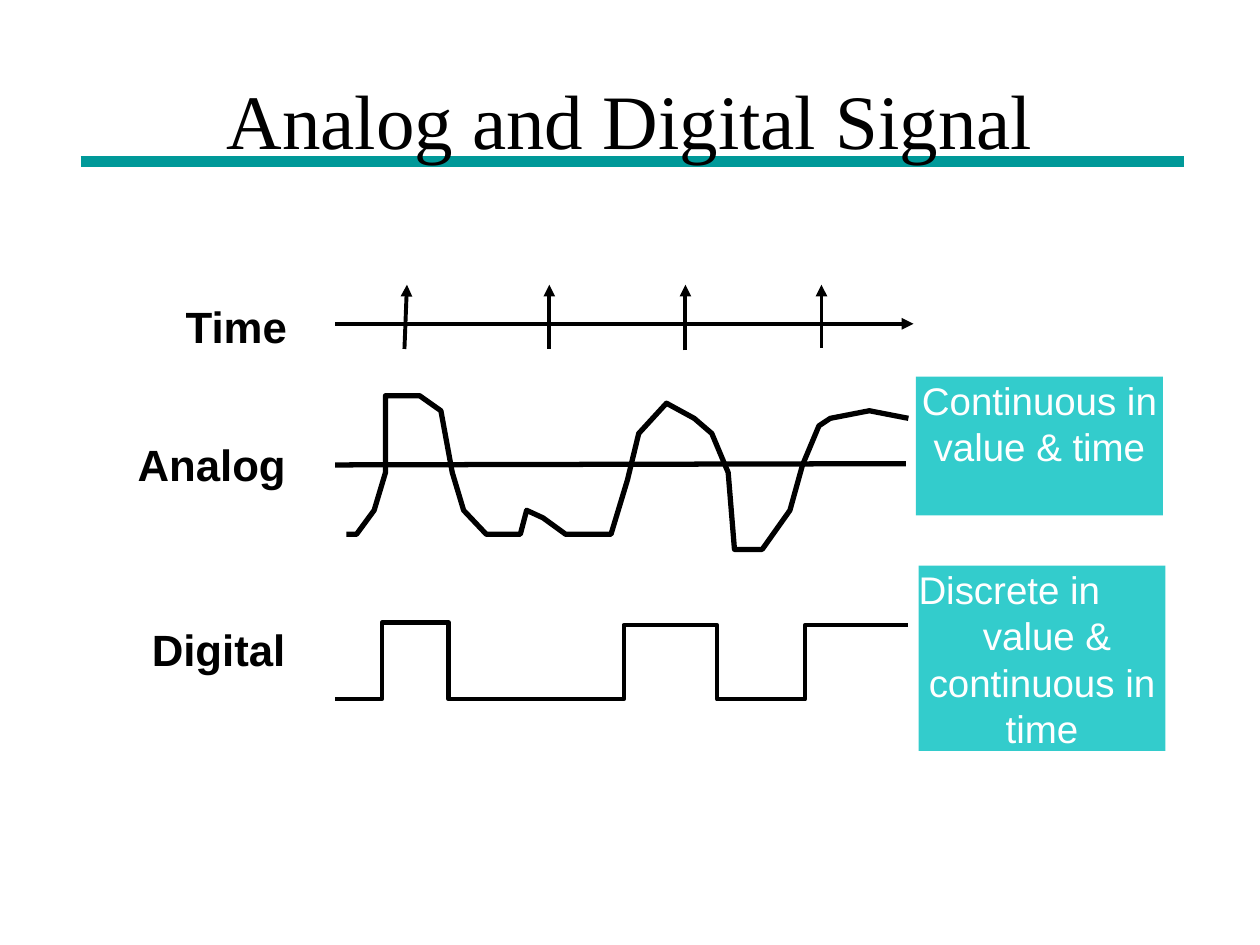
from pptx import Presentation
from pptx.dml.color import RGBColor
from pptx.enum.shapes import MSO_CONNECTOR as CONN, MSO_SHAPE as SHAPE
from pptx.enum.text import MSO_ANCHOR as ANCHOR, PP_ALIGN as ALIGN
from pptx.oxml.ns import qn
from pptx.util import Pt
from lxml.etree import SubElement

PX = 9144  # EMU per px, 100 px to the inch
BLACK = RGBColor(0x00, 0x00, 0x00)
WHITE = RGBColor(0xFF, 0xFF, 0xFF)
TEAL = RGBColor(0x00, 0x99, 0x99)
AQUA = RGBColor(0x33, 0xCC, 0xCC)


def add_line(x1, y1, x2, y2, color, width, arrow=False):
    c = s.shapes.add_connector(CONN.STRAIGHT, x1 * PX, y1 * PX, x2 * PX, y2 * PX)
    c.line.color.rgb = color
    c.line.width = Pt(width)
    if arrow:
        SubElement(c.line._get_or_add_ln(), qn("a:tailEnd"), type="triangle")
    SubElement(c._element.spPr, qn("a:effectLst"))
    return c


def set_text(sp, lines, font, size, color, bold=False, anchor=ANCHOR.MIDDLE):
    tf = sp.text_frame
    tf.text = "\n".join(lines)
    tf.vertical_anchor = anchor
    tf.margin_left = tf.margin_right = tf.margin_top = tf.margin_bottom = 0
    for p in tf.paragraphs:
        p.alignment = ALIGN.CENTER
        f = p.runs[0].font
        f.name, f.size, f.bold = font, Pt(size), bold
        f.color.rgb = color
    return tf


prs = Presentation()
prs.slide_width, prs.slide_height = 1000 * PX, 750 * PX
s = prs.slides.add_slide(prs.slide_layouts[5])

# Title, with the rule behind it
title = s.shapes.title
title.left, title.top, title.width, title.height = 75 * PX, 52 * PX, 850 * PX, 85 * PX
set_text(title, ["Analog and Digital Signal"], "Times New Roman", 44, BLACK)
rule = add_line(64, 128, 940, 128, TEAL, 6)
s.shapes._spTree.insert(2, rule._element)

# Time axis with sampling instants
add_line(266, 257, 725, 257, BLACK, 2.25, arrow=True)
for x1, x2, bottom in [(321, 323, 277), (436, 436, 277), (544, 544, 278), (652, 652, 276)]:
    add_line(x1, bottom, x2, 226, BLACK, 2.25, arrow=True)

# Analog and digital waveforms
analog = [(275, 424), (283, 424), (297, 405), (306, 375), (306, 314), (333, 314),
          (350, 326), (359, 375), (368, 405), (386, 424), (413, 424), (418, 405),
          (431, 411), (449, 424), (485, 424), (498, 381), (507, 344), (529, 320),
          (551, 332), (565, 344), (578, 375), (583, 436), (605, 436), (627, 405),
          (637, 369), (650, 338), (659, 332), (690, 326), (721, 332)]
digital = [(266, 555), (303, 555), (303, 494), (356, 494), (356, 555), (495, 555),
           (495, 496), (569, 496), (569, 555), (639, 555), (639, 496), (721, 496)]
for points, width in [(analog, 3), (digital, 2.38)]:
    fb = s.shapes.build_freeform(*points[0], scale=PX)
    fb.add_line_segments(points[1:], close=False)
    wave = fb.convert_to_shape()
    wave.shadow.inherit = False
    wave.fill.background()
    wave.line.color.rgb = BLACK
    wave.line.width = Pt(width)
add_line(266, 369, 719, 368, BLACK, 3)

# Row labels
for label, x, y, w in [("Time", 145, 238, 85), ("Analog", 107, 347, 122),
                       ("Digital", 116, 494, 115)]:
    box = s.shapes.add_textbox(x * PX, y * PX, w * PX, 42 * PX)
    set_text(box, [label], "Arial", 25, BLACK, bold=True).word_wrap = False

# Descriptions
notes = [(["Continuous in value & time"], 727, 299, 110),
         (["Discrete in", "value &", "continuous in time"], 729, 449, 147)]
for lines, x, y, h in notes:
    sp = s.shapes.add_shape(SHAPE.RECTANGLE, x * PX, y * PX, 196 * PX, h * PX)
    sp.shadow.inherit = False
    sp.fill.solid()
    sp.fill.fore_color.rgb = AQUA
    sp.line.fill.background()
    tf = set_text(sp, lines, "Arial", 22, WHITE, anchor=ANCHOR.TOP)
    tf.word_wrap = True
    for p in tf.paragraphs:
        p.line_spacing = Pt(26.5)
tf.paragraphs[0].alignment = ALIGN.LEFT
tf.paragraphs[1]._p.get_or_add_pPr().set("marL", str(8 * PX))

prs.save("out.pptx")
